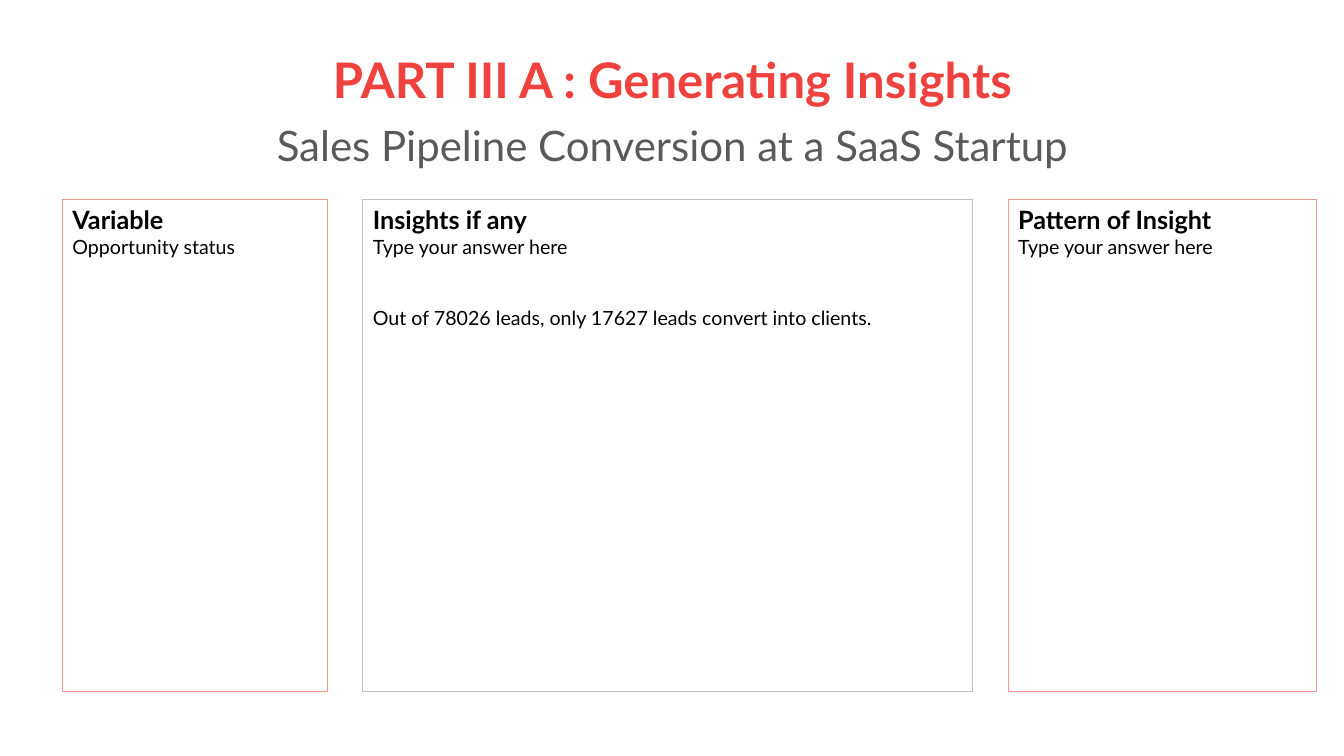
from dataclasses import dataclass

from pptx import Presentation
from pptx.dml.color import RGBColor
from pptx.enum.shapes import MSO_SHAPE
from pptx.enum.text import MSO_ANCHOR, MSO_AUTO_SIZE, PP_ALIGN
from pptx.util import Inches, Pt

RECTANGLE = MSO_SHAPE.RECTANGLE
TOP, MIDDLE = MSO_ANCHOR.TOP, MSO_ANCHOR.MIDDLE
LEFT, CENTER = PP_ALIGN.LEFT, PP_ALIGN.CENTER
NO_AUTOFIT = MSO_AUTO_SIZE.NONE
TITLE_ONLY = 5


@dataclass(frozen=True)
class Theme:
    font: str = "Lato"
    accent: str = "EF413D"
    accent_line: str = "F69492"
    neutral_line: str = "BFBFBF"
    subtitle: str = "5A5A5A"
    text: str = "000000"
    title_size: int = 35
    subtitle_size: int = 30
    heading_size: int = 18
    body_size: int = 14


class InsightSlide:
    def __init__(self, presentation, theme):
        self.theme = theme
        self.slide = presentation.slides.add_slide(presentation.slide_layouts[TITLE_ONLY])

    def format_paragraph(self, paragraph, size, color, bold, alignment):
        paragraph.alignment = alignment
        for run in paragraph.runs:
            run.font.name = self.theme.font
            run.font.size = Pt(size)
            run.font.bold = bold
            run.font.color.rgb = RGBColor.from_string(color)

    def add_title(self, title, subtitle):
        theme = self.theme
        shape = self.slide.shapes.title
        shape.left, shape.top = Inches(0.92), Inches(0.4)
        shape.width, shape.height = Inches(11.5), Inches(1.45)
        frame = shape.text_frame
        frame.text = f"{title}\n{subtitle}"
        frame.auto_size = NO_AUTOFIT
        frame.word_wrap = True
        frame.vertical_anchor = MIDDLE
        heading, subheading = frame.paragraphs
        self.format_paragraph(heading, theme.title_size, theme.accent, True, CENTER)
        self.format_paragraph(subheading, theme.subtitle_size, theme.subtitle, False, CENTER)
        for paragraph in frame.paragraphs:
            paragraph.line_spacing = 0.9
            paragraph.space_before = Pt(0)
        subheading.space_before = Pt(11)

    def add_panel(self, left, width, line_color, heading, prompt, answer):
        """Add an outlined column; an answer, if any, stands apart below the prompt."""
        theme = self.theme
        shape = self.slide.shapes.add_shape(
            RECTANGLE, Inches(left), Inches(1.98), Inches(width), Inches(4.88))
        shape.shadow.inherit = False
        shape.fill.background()
        shape.line.color.rgb = RGBColor.from_string(line_color)
        shape.line.width = Pt(0.75)
        frame = shape.text_frame
        frame.word_wrap = True
        frame.vertical_anchor = TOP
        frame.text = "\n".join(filter(None, (heading, prompt, answer)))
        first, *body = frame.paragraphs
        self.format_paragraph(first, theme.heading_size, theme.text, True, LEFT)
        for paragraph in body:
            self.format_paragraph(paragraph, theme.body_size, theme.text, False, LEFT)
        if answer:
            body[-1].space_before = Pt(34)


def main():
    presentation = Presentation()
    presentation.slide_width, presentation.slide_height = Inches(13.33), Inches(7.5)
    theme = Theme()
    slide = InsightSlide(presentation, theme)
    slide.add_title("PART III A : Generating Insights",
                    "Sales Pipeline Conversion at a SaaS Startup")

    panels = [
        (2.63, theme.accent_line, "Variable", "Opportunity status", None),
        (6.05, theme.neutral_line, "Insights if any", "Type your answer here",
         "Out of 78026 leads, only 17627 leads convert into clients."),
        (3.06, theme.accent_line, "Pattern of Insight", "Type your answer here", None),
    ]
    left, gap = 0.62, 0.35
    for width, line_color, heading, prompt, answer in panels:
        slide.add_panel(left, width, line_color, heading, prompt, answer)
        left += width + gap

    presentation.save("out.pptx")


if __name__ == "__main__":
    main()
